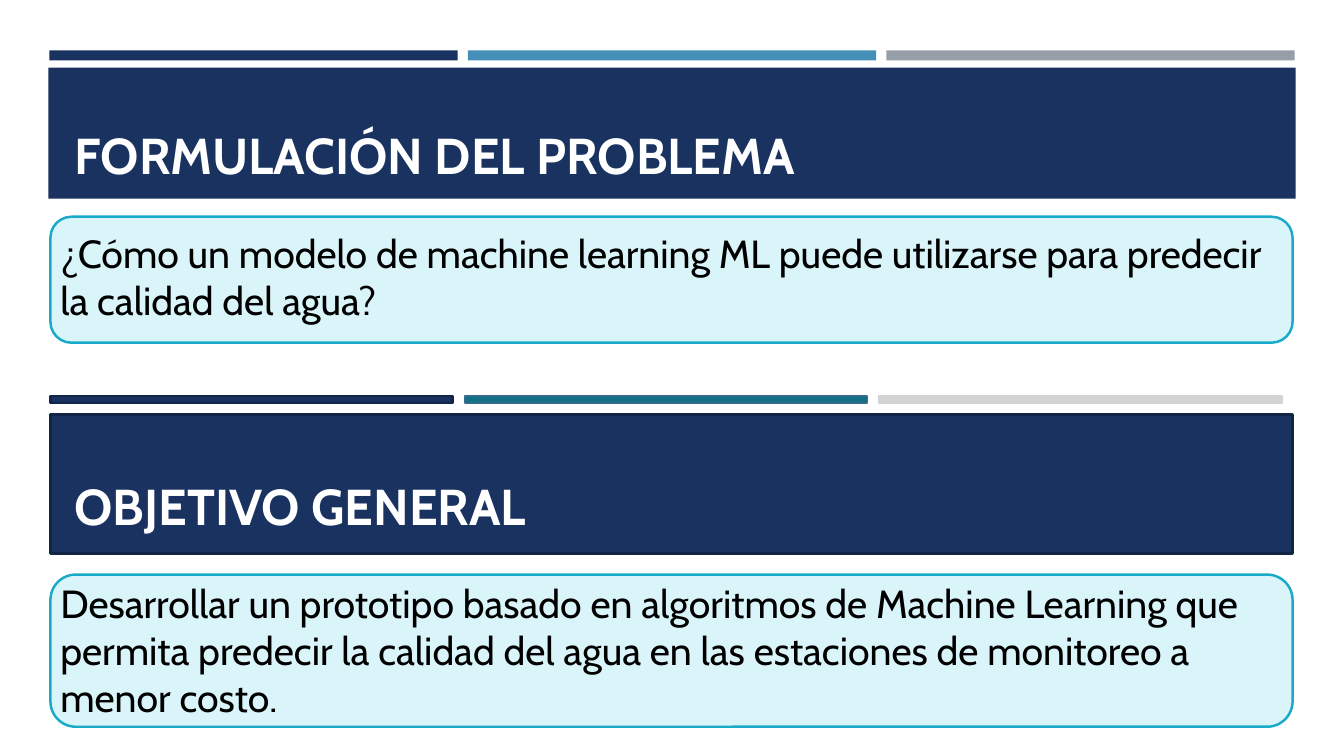
from pptx import Presentation
from pptx import util as u
from pptx.dml.color import RGBColor
from pptx.enum import shapes, text

NAVY = RGBColor(0x1A, 0x32, 0x60)
NAVY_EDGE = RGBColor(0x13, 0x25, 0x47)
BLUE = RGBColor(0x45, 0x90, 0xB8)
GREY = RGBColor(0x96, 0x9F, 0xA7)
TEAL = RGBColor(0x11, 0x71, 0x86)
TEAL_EDGE = RGBColor(0x34, 0x6C, 0x8A)
SILVER = RGBColor(0xD3, 0xD3, 0xD3)
PALE = RGBColor(0xDA, 0xF5, 0xFA)
CYAN = RGBColor(0x19, 0xAA, 0xC9)
WHITE = RGBColor(0xFF, 0xFF, 0xFF)
BLACK = RGBColor(0x00, 0x00, 0x00)

PX = 9144  # 100 px to the inch
RECT = shapes.MSO_SHAPE.RECTANGLE
ROUNDED = shapes.MSO_SHAPE.ROUNDED_RECTANGLE


class Painter:
    """Holds the text style and the slide being drawn; lengths are in px."""

    font = "Cabin"
    heading_size = u.Pt(36)
    body_size = u.Pt(28)
    edge_width = u.Pt(1.75)

    def __init__(self, page):
        self.page = page

    def panel(self, kind, left, top, width, height, fill, edge=None):
        box = self.page.shapes.add_shape(
            kind, left * PX, top * PX, width * PX, height * PX)
        box.shadow.inherit = False
        box.fill.solid()
        box.fill.fore_color.rgb = fill
        if edge is None:
            box.line.fill.background()
        else:
            box.line.color.rgb = edge
            box.line.width = self.edge_width

    def bars(self, left, top, width, height, step, colours):
        """Row of equal bars; colours holds one (fill, edge) pair per bar."""
        for index, (fill, edge) in enumerate(colours):
            self.panel(RECT, left + index * step, top, width, height, fill, edge)

    def add_words(self, box, words, size, colour, bold):
        frame = box.text_frame
        frame.word_wrap = True
        para = frame.paragraphs[0]
        para.alignment = text.PP_ALIGN.LEFT
        span = para.add_run()
        span.text = words
        span.font.name = self.font
        span.font.size = size
        span.font.bold = bold
        span.font.color.rgb = colour
        return frame

    def text_box(self, left, top, width, height):
        return self.page.shapes.add_textbox(
            left * PX, top * PX, width * PX, height * PX)

    def heading(self, box, words):
        frame = self.add_words(box, words, self.heading_size, WHITE, True)
        frame.auto_size = text.MSO_AUTO_SIZE.NONE
        frame.vertical_anchor = text.MSO_ANCHOR.BOTTOM

    def title(self, left, top, width, height, words):
        box = self.page.shapes.title
        box.left, box.top = left * PX, top * PX
        box.width, box.height = width * PX, height * PX
        self.page.shapes._spTree.append(box._element)  # bring above the band
        self.heading(box, words)

    def body(self, left, top, width, height, words):
        box = self.text_box(left, top, width, height)
        frame = self.add_words(box, words, self.body_size, BLACK, False)
        frame.auto_size = text.MSO_AUTO_SIZE.SHAPE_TO_FIT_TEXT
        frame.vertical_anchor = text.MSO_ANCHOR.TOP


def main():
    deck = Presentation()
    deck.slide_width, deck.slide_height = 1333 * PX, 750 * PX
    title_only = deck.slide_layouts[5]
    painter = Painter(deck.slides.add_slide(title_only))

    painter.bars(49, 50, 405, 10, 415,
                 [(NAVY, None), (BLUE, None), (GREY, None)])
    painter.panel(RECT, 48, 67, 1237, 130, NAVY)
    painter.title(64, 77, 1206, 111, "FORMULACIÓN DEL PROBLEMA")
    painter.panel(ROUNDED, 50, 215, 1232, 125, PALE, CYAN)
    painter.body(50, 223, 1232, 104,
                 "¿Cómo un modelo de machine learning ML puede utilizarse "
                 "para predecir la calidad del agua?")

    painter.bars(50, 393, 399, 7, 411,
                 [(NAVY, NAVY_EDGE), (TEAL, TEAL_EDGE), (SILVER, SILVER)])
    painter.panel(RECT, 50, 411, 1232, 138, NAVY, NAVY_EDGE)
    painter.heading(painter.text_box(64, 425, 1206, 111), "OBJETIVO GENERAL")
    painter.panel(ROUNDED, 50, 570, 1232, 151, PALE, CYAN)
    painter.body(50, 570, 1232, 151,
                 "Desarrollar un prototipo basado en algoritmos de Machine "
                 "Learning que permita predecir la calidad del agua en las "
                 "estaciones de monitoreo a menor costo.")

    deck.save("out.pptx")


if __name__ == "__main__":
    main()
